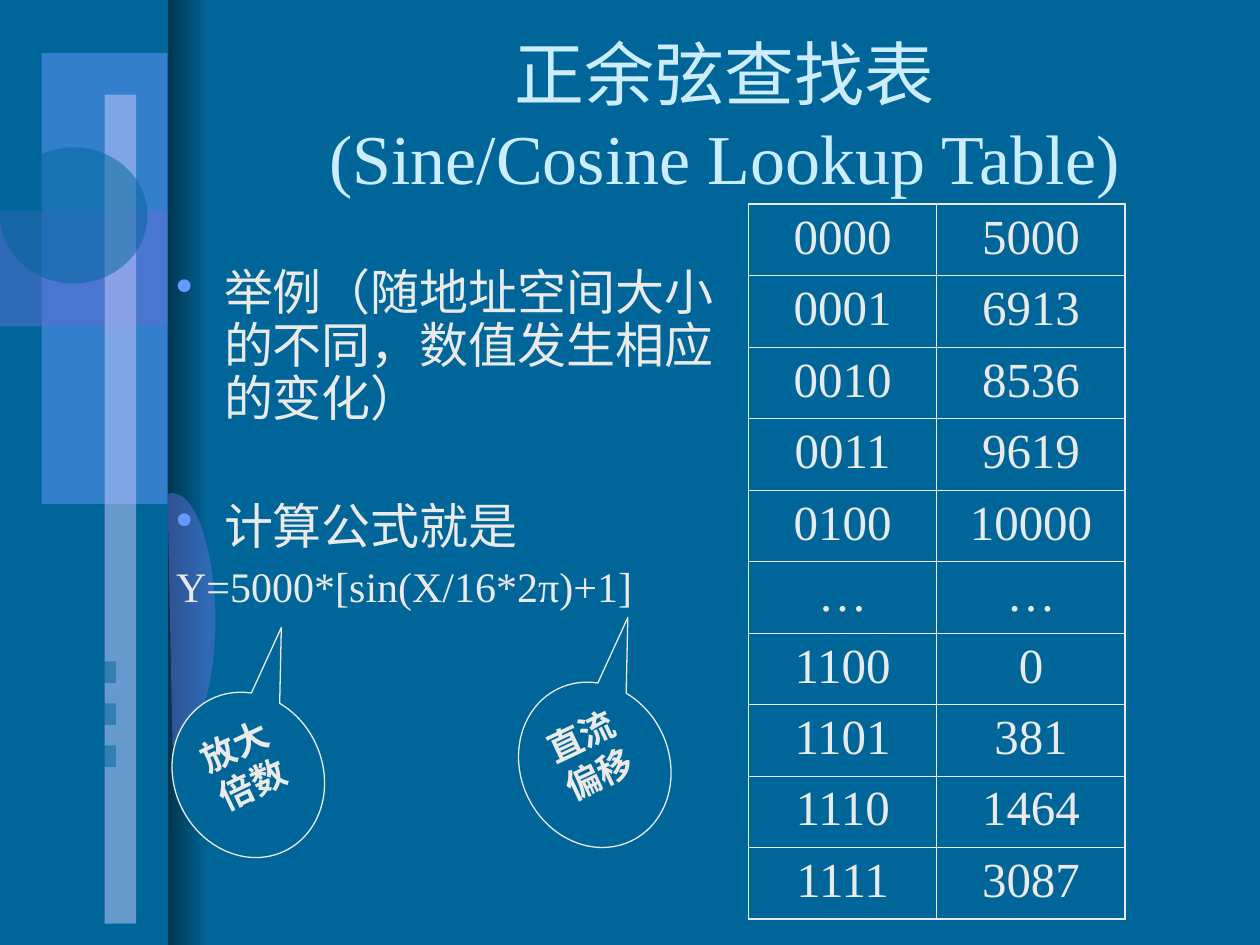
from lxml.etree import SubElement
from pptx import Presentation
from pptx.dml.color import RGBColor
from pptx.enum.shapes import MSO_SHAPE as Preset
from pptx.enum.text import MSO_ANCHOR as Anchor, PP_ALIGN as Align
from pptx.oxml.ns import qn
from pptx.util import Inches, Pt

COLORS = {
    "background": "006699", "shade": "00354E", "panel": "6699FF",
    "violet": "5E6FD4", "bar": "CCCCFF", "title": "CCECFF", "text": "EAEAEA",
}
FONT = "Times New Roman"
TABLE_ROWS = [
    ("0000", "5000"), ("0001", "6913"), ("0010", "8536"), ("0011", "9619"),
    ("0100", "10000"), ("…", "…"), ("1100", "0"), ("1101", "381"),
    ("1110", "1464"), ("1111", "3087"),
]


def rgb(name):
    return RGBColor.from_string(COLORS[name])


def inches(box):
    return [Inches(value) for value in box]


def set_font(para, size, color="text", bold=False):
    values = {"name": FONT, "size": Pt(size), "bold": bold}
    for name, value in values.items():
        setattr(para.font, name, value)
    para.font.color.rgb = rgb(color)


def set_frame(frame, anchor):
    values = {
        "word_wrap": True, "vertical_anchor": anchor,
        "margin_left": Inches(0.1), "margin_right": Inches(0.1),
        "margin_top": Inches(0.05), "margin_bottom": Inches(0.05),
    }
    for name, value in values.items():
        setattr(frame, name, value)


def fill_half_clear(shape, color):
    shape.shadow.inherit = False
    shape.line.fill.background()
    shape.fill.solid()
    shape.fill.fore_color.rgb = rgb(color)
    color_node = shape.fill._xPr.find(qn("a:solidFill"))[0]
    SubElement(color_node, qn("a:alpha"), val="50000")


def curve_points(start, curves, steps=16):
    """Points along a chain of cubic curves."""
    points = [start]
    for first, second, end in curves:
        corners = (points[-1], first, second, end)
        for step in range(1, steps + 1):
            t = step / steps
            weights = ((1 - t) ** 3, 3 * t * (1 - t) ** 2, 3 * t * t * (1 - t), t ** 3)
            points.append(tuple(
                sum(weight * corner[axis] for weight, corner in zip(weights, corners))
                for axis in (0, 1)))
    return points


def add_side_band(page, box):
    left, top, width, height = box
    edge = left + width
    shade = page.shapes.add_shape(Preset.RECTANGLE, *inches((edge, top, 0.33, height)))
    shade.shadow.inherit = False
    shade.line.fill.background()
    shade.fill.gradient()
    shade.fill.gradient_angle = 0
    for stop, position, color in zip(shade.fill.gradient_stops, (0, 1), ("shade", "background")):
        stop.position = position
        stop.color.rgb = rgb(color)

    parts = [
        (Preset.RECTANGLE, (0.33, 0.42, 1, 3.58), "panel"),
        (Preset.RECTANGLE, (0, 1.67, width, 0.92), "violet"),
        (Preset.RECTANGLE, (0.83, 0.75, 0.25, 6.58), "bar"),
        (Preset.OVAL, (0, 1.17, 1.17, 1.08), "background"),
    ]
    parts += [(Preset.RECTANGLE, (0, 5.25 + row / 3, 0.92, 0.17), "background")
              for row in range(3)]
    for preset, (x, y, w, h), color in parts:
        shape = page.shapes.add_shape(preset, *inches((left + x, top + y, w, h)))
        fill_half_clear(shape, color)

    points = curve_points((0, 0), [
        ((0.13, -0.04), (0.25, 0.13), (0.32, 0.44)),
        ((0.39, 0.75), (0.4, 1.14), (0.34, 1.47)),
        ((0.28, 1.8), (0.16, 2), (0.04, 2)),
    ]) + [(0.02, 1)]
    outline = [(Inches(edge + x), Inches(top + 3.92 + y)) for x, y in points]
    builder = page.shapes.build_freeform(*outline[0], scale=1.0)
    builder.add_line_segments(outline[1:], close=True)
    fill_half_clear(builder.convert_to_shape(), "violet")


def add_title(page, box):
    frame = page.shapes.add_textbox(*inches(box)).text_frame
    set_frame(frame, Anchor.MIDDLE)
    para = frame.paragraphs[0]
    para.text = "正余弦查找表\v(Sine/Cosine Lookup Table)"
    para.alignment = Align.CENTER
    set_font(para, 40, "title")


def add_bullet(para):
    props = para._p.get_or_add_pPr()
    color = SubElement(props, qn("a:buClr"))
    SubElement(color, qn("a:srgbClr"), val=COLORS["panel"])
    SubElement(props, qn("a:buChar"), char="•")


def add_body(page, box):
    frame = page.shapes.add_textbox(*inches(box)).text_frame
    set_frame(frame, Anchor.TOP)
    lines = [
        ("举例（随地址空间大小的不同，数值发生相应的变化）", 28, 0, True),
        ("计算公式就是", 28, 43, True),
        ("Y=5000*[sin(X/16*2π)+1]", 24, 6, False),
    ]
    for index, (text, size, before, bulleted) in enumerate(lines):
        para = frame.add_paragraph() if index else frame.paragraphs[0]
        para.text = text
        para.line_spacing = 0.9
        if before:
            para.space_before = Pt(before)
        props = para._p.get_or_add_pPr()
        props.set("marL", str(Inches(0.38)))
        props.set("indent", str(Inches(-0.38)))
        if bulleted:
            add_bullet(para)
        set_font(para, size)


def set_borders(cell, widths):
    props = cell._tc.get_or_add_tcPr()
    for side, width in widths.items():
        line = SubElement(props, qn(f"a:ln{side}"), w=str(Pt(width)))
        SubElement(SubElement(line, qn("a:solidFill")), qn("a:srgbClr"), val=COLORS["text"])


def add_lookup_table(page, box):
    last = len(TABLE_ROWS) - 1
    table = page.shapes.add_table(len(TABLE_ROWS), 2, *inches(box)).table
    table.first_row = table.horz_banding = False
    for column in table.columns:
        column.width = Inches(box[2] / 2)
    for row, values in enumerate(TABLE_ROWS):
        table.rows[row].height = Inches(box[3] / len(TABLE_ROWS))
        for column, value in enumerate(values):
            cell = table.cell(row, column)
            outer = {"L": column == 0, "R": column == 1, "T": row == 0, "B": row == last}
            set_borders(cell, {side: 1.08 if edge else 0.45 for side, edge in outer.items()})
            cell.fill.background()
            para = cell.text_frame.paragraphs[0]
            para.text = value
            para.alignment = Align.CENTER
            set_font(para, 28)


def add_callout(page, box, text):
    shape = page.shapes.add_shape(Preset.OVAL_CALLOUT, *inches(box))
    shape.shadow.inherit = False
    shape.rotation = 154.6
    shape.adjustments[0], shape.adjustments[1] = -0.626, 0.704
    shape.fill.solid()
    shape.fill.fore_color.rgb = rgb("background")
    shape.line.color.rgb = rgb("text")
    shape.line.width = Pt(0.75)
    frame = shape.text_frame
    set_frame(frame, Anchor.TOP)
    frame._txBody.bodyPr.set("rot", str(180 * 60000))
    para = frame.paragraphs[0]
    para.text = text
    para.alignment = Align.CENTER
    set_font(para, 20, bold=True)


def main():
    deck = Presentation()
    deck.slide_width, deck.slide_height = Inches(10), Inches(7.5)
    page = deck.slides.add_slide(deck.slide_layouts[6])
    page.background.fill.solid()
    page.background.fill.fore_color.rgb = rgb("background")
    add_side_band(page, (0, 0, 1.33, 7.5))
    add_title(page, (1.5, 0.28, 8.5, 1.25))
    add_body(page, (1.3, 2.08, 4.57, 3.08))
    add_lookup_table(page, (5.94, 1.62, 2.99, 5.66))
    add_callout(page, (1.38, 5.48, 1.18, 1.34), "放大倍数")
    add_callout(page, (4.13, 5.4, 1.18, 1.34), "直流偏移")
    deck.save("out.pptx")


if __name__ == "__main__":
    main()
